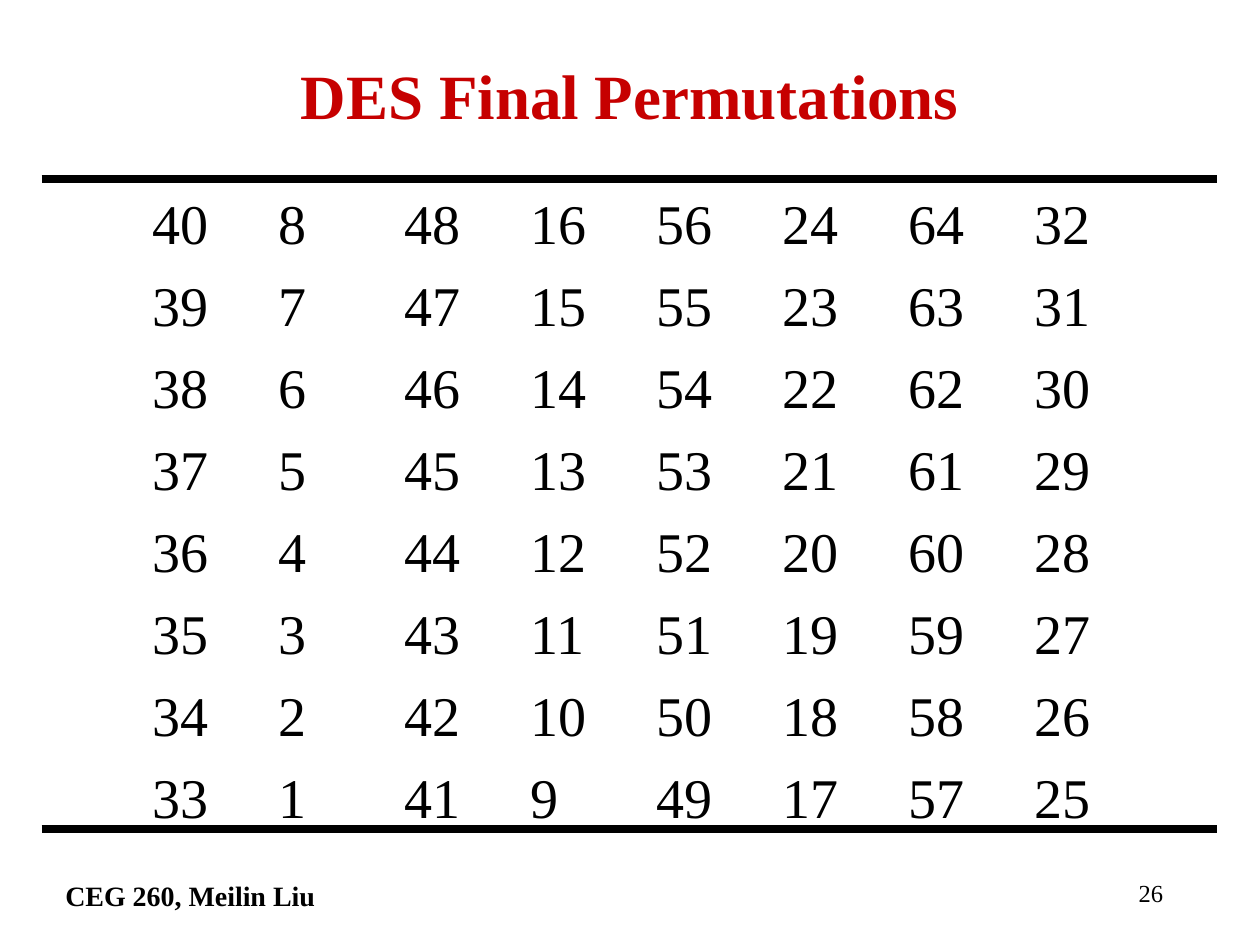
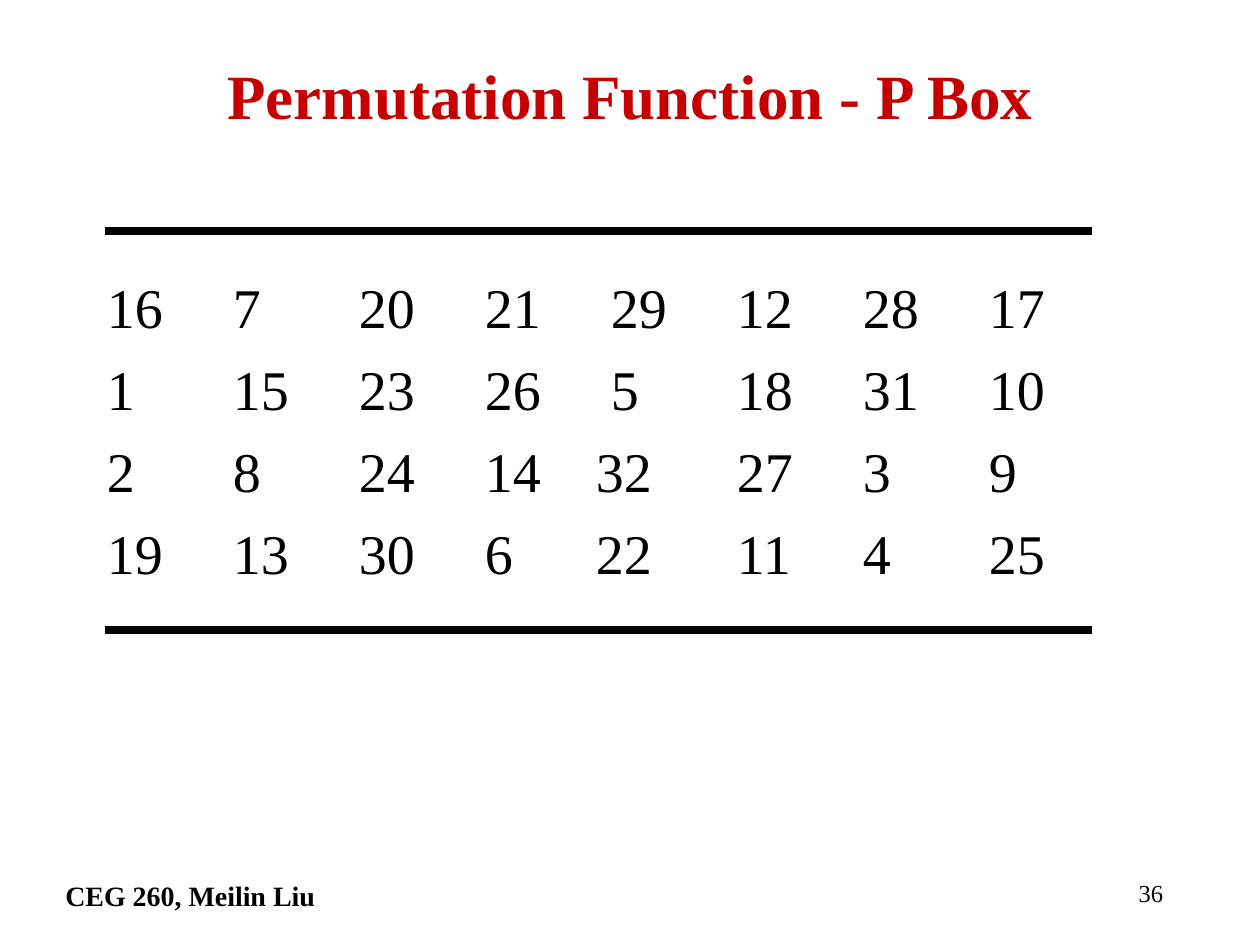
from lxml import etree
from pptx import Presentation
from pptx.dml.color import RGBColor
from pptx.enum.shapes import MSO_CONNECTOR
from pptx.enum.text import MSO_ANCHOR, PP_ALIGN
from pptx.oxml.ns import qn
from pptx.util import Inches, Pt

LEFT, CENTER, RIGHT = PP_ALIGN.LEFT, PP_ALIGN.CENTER, PP_ALIGN.RIGHT
TOP, MIDDLE = MSO_ANCHOR.TOP, MSO_ANCHOR.MIDDLE
STRAIGHT = MSO_CONNECTOR.STRAIGHT

COURSE = "CEG 260, Meilin Liu"
FONT = "Times New Roman"
COLORS = {"title": "C60000", "ink": "000000", "paper": "FFFFFF"}
STYLES = {
    "title": {"size": Pt(36), "bold": True},
    "numbers": {"size": Pt(32), "bold": False},
    "course": {"size": Pt(16), "bold": True},
    "page": {"size": Pt(14), "bold": False},
}
TITLE_BOX = (0.75, 0.33, 8.5, 0.83)
COURSE_BOX = (0.42, 6.92, 6.33, 0.42)
PAGE_BOX = (7.25, 6.92, 2.08, 0.42)

EVEN_TABS = [1, 2, 3, 4, 5, 6, 7]
SHIFTED_TABS = [1, 2, 3, 3.88, 5, 6, 7]

# The final permutation counts down each column from these first entries.
FINAL_STARTS = [40, 8, 48, 16, 56, 24, 64, 32]
FINAL_ROWS = [([start - step for start in FINAL_STARTS], EVEN_TABS)
              for step in range(8)]
P_BOX_ROWS = [
    ([16, 7, 20, 21, 29, 12, 28, 17], EVEN_TABS),
    ([1, 15, 23, 26, 5, 18, 31, 10], EVEN_TABS),
    ([2, 8, 24, 14, 32, 27, 3, 9], SHIFTED_TABS),
    ([19, 13, 30, 6, 22, 11, 4, 25], SHIFTED_TABS),
]

SLIDES = [
    {"title": "DES Final Permutations", "page": 26, "rows": FINAL_ROWS,
     "box": (1.11, 1.59, 7.71, 5.03),
     "rule_span": (0.33, 9.66), "rule_heights": (1.42, 6.58)},
    {"title": "Permutation Function - P Box", "page": 36, "rows": P_BOX_ROWS,
     "box": (0.75, 2.26, 8.58, 2.43),
     "rule_span": (0.83, 8.67), "rule_heights": (1.83, 5)},
]


def rgb(name):
    return RGBColor.from_string(COLORS[name])


def write(paragraph, text, style, align=LEFT, color="ink"):
    paragraph.alignment = align
    run = paragraph.add_run()
    run.text = text
    for attribute, value in {"name": FONT, **STYLES[style]}.items():
        setattr(run.font, attribute, value)
    run.font.color.rgb = rgb(color)


def add_box(slide, box):
    frame = slide.shapes.add_textbox(*map(Inches, box)).text_frame
    frame.word_wrap = True
    frame.vertical_anchor = TOP
    return frame


def add_title(slide, text):
    title = slide.shapes.title
    title.left, title.top, title.width, title.height = map(Inches, TITLE_BOX)
    title.text_frame.vertical_anchor = MIDDLE
    write(title.text_frame.paragraphs[0], text, "title", CENTER, "title")


def set_tabs(paragraph, stops):
    tab_list = etree.SubElement(paragraph._p.get_or_add_pPr(), qn("a:tabLst"))
    for stop in stops:
        etree.SubElement(tab_list, qn("a:tab"), pos=str(Inches(stop)), algn="l")


def add_permutation(slide, rows, box):
    frame = add_box(slide, box)
    for index, (numbers, stops) in enumerate(rows):
        paragraph = frame.add_paragraph() if index else frame.paragraphs[0]
        set_tabs(paragraph, stops)
        paragraph.line_spacing = 0.7
        paragraph.space_before = Pt(20 if index else 0)
        write(paragraph, "\t".join(map(str, numbers)), "numbers")


def add_rule(slide, span, height):
    start, end = map(Inches, span)
    y = Inches(height)
    rule = slide.shapes.add_connector(STRAIGHT, start, y, end, y)
    rule.line.color.rgb = rgb("ink")
    rule.line.width = Pt(4.5)
    etree.SubElement(rule._element.spPr, qn("a:effectLst"))


def add_footer(slide, page):
    write(add_box(slide, COURSE_BOX).paragraphs[0], COURSE, "course")
    write(add_box(slide, PAGE_BOX).paragraphs[0], str(page), "page", RIGHT)


def main():
    deck = Presentation()
    deck.slide_width, deck.slide_height = Inches(10), Inches(7.5)
    title_only = deck.slide_layouts[5]
    background = deck.slide_master.background.fill
    background.solid()
    background.fore_color.rgb = rgb("paper")
    for content in SLIDES:
        slide = deck.slides.add_slide(title_only)
        add_footer(slide, content["page"])
        add_title(slide, content["title"])
        add_permutation(slide, content["rows"], content["box"])
        for height in content["rule_heights"]:
            add_rule(slide, content["rule_span"], height)
    deck.save("out.pptx")


if __name__ == "__main__":
    main()
